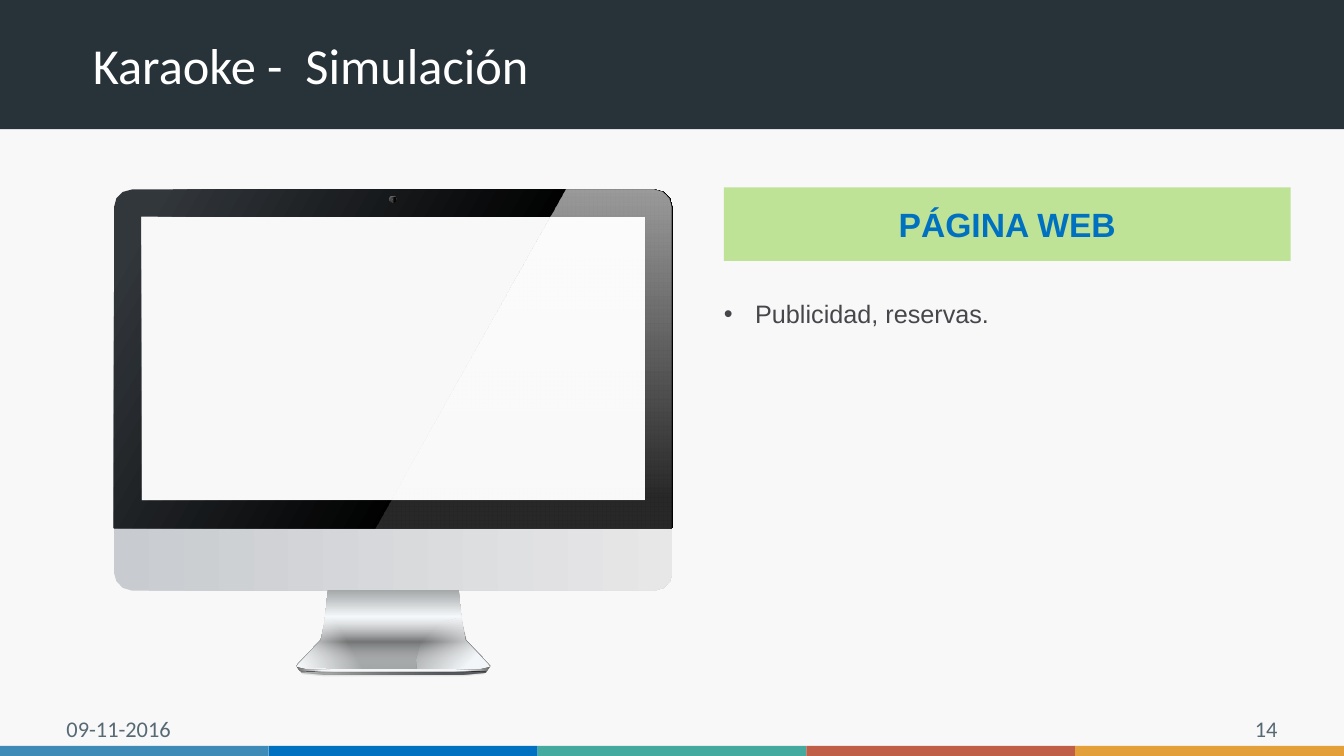
"""Build the karaoke simulation slide: a desktop monitor beside its web page notes."""
from lxml.etree import SubElement
from pptx import Presentation
from pptx.dml.color import RGBColor
from pptx.enum.shapes import MSO_SHAPE
from pptx.enum.text import MSO_ANCHOR, PP_ALIGN
from pptx.oxml.ns import qn
from pptx.util import Inches, Pt

COLORS = {
    "page": "F8F8F8", "band": "273339", "title": "FFFFFF", "footer": "576973",
    "body": "47464B", "banner": "BEE396", "accent": "0070C0", "lens": "557DB1",
}
STRIPES = ["3F8BB7", "0070C0", "44AAA0", "BF5F47", "E39F3A"]
WIDTH, HEIGHT = 13.33, 7.5
MIRROR = 7.8
CURVE_STEPS = 3

TITLE = {"text": "Karaoke -  Simulación", "at": (0.92, 0.27, 11.5, 0.74),
         "size": 36, "font": "Calibri", "color": "title", "inset": 0}
BANNER = {"text": "PÁGINA WEB", "at": (7.18, 1.86, 5.62, 0.73), "size": 24,
          "font": "Arial", "color": "accent", "bold": True, "align": PP_ALIGN.CENTER}
NOTES = {"text": "Publicidad, reservas.", "at": (7.18, 2.89, 5.62, 3.75), "size": 18,
         "font": "Arial", "color": "body", "inset": 0, "anchor": MSO_ANCHOR.TOP,
         "align": PP_ALIGN.JUSTIFY}
FOOTERS = [
    {"text": "09-11-2016", "at": (0.53, 7.07, 3, 0.31), "size": 16,
     "font": "Calibri", "color": "footer", "inset": 0.13},
    {"text": "14", "at": (9.8, 7.07, 3, 0.31), "size": 16,
     "font": "Calibri", "color": "footer", "inset": 0.13, "align": PP_ALIGN.RIGHT},
]

SHADOW = [(3.32, 6.68), (3.04, 6.68), (2.95, 6.63), (3, 6.69), (3.21, 6.71)]
SOFT_SHADOW = [(3.31, 6.66), (3.03, 6.65), (2.94, 6.6), (2.99, 6.67), (3.21, 6.69)]
CHIN = [(1.13, 5.23), (1.13, 5.68), (1.13, 5.77, 1.21, 5.86, 1.31, 5.86)]
FRAME = [(1.31, 1.88), (1.21, 1.88, 1.13, 1.96, 1.13, 2.06), (1.13, 5.24)]
SCREEN = [(1.4, 2.15), (1.4, 4.97)]
EDGE = [(3.21, 6.67), (2.98, 6.65), (2.95, 6.61), (2.98, 6.66), (3.21, 6.67)]
FOOT = [(2.96, 6.58), (2.94, 6.61), (3.03, 6.63), (3.31, 6.64)]
STAND = [(3.25, 5.85), (3.25, 5.85, 3.22, 6.29, 3.18, 6.35), *FOOT]
RIM = [(3.31, 6.64), (3.03, 6.63), (2.94, 6.61), (2.97, 6.65), (3.21, 6.66)]
GLOW = [(3.22, 6.14), (3.18, 6.35), *FOOT, (3.66, 6.64), (3.67, 6.54),
        (3.67, 6.32, 3.49, 6.14, 3.27, 6.14)]
GLARE = [(6.66, 2.06), (6.66, 1.96, 6.58, 1.88, 6.48, 1.88), (5.61, 1.88),
         (3.72, 5.24), (6.66, 5.24)]

PARTS = [
    ([SHADOW], "both", [(0, "32373C", 10), (100, "32373C", 10)], 0),
    ([SOFT_SHADOW], "both", [(17, "000000", 30), (76, "32373C", 80)], 0),
    ([CHIN], "both", [(0, "C8CBCF", 100), (100, "E7E7E8", 100)], 0),
    ([FRAME, SCREEN], "both", [(6, "32373C", 100), (62, "000000", 100)], 30),
    ([EDGE], "both", [(0, "000000", 75), (100, "000000", 75)], 0),
    ([STAND], "both", [(0, "A4A7A8", 100), (34, "F5F8FA", 100), (66, "A4A7A8", 100)], 90),
    ([STAND], "both", [(36, "FFFFFF", 0), (65, "000000", 30), (95, "FFFFFF", 0)], 90),
    ([RIM], "both", [(0, "6A6A6A", 100), (13, "F5F8FA", 100),
                     (87, "F5F8FA", 100), (100, "6A6A6A", 100)], 0),
    ([GLOW], "left", [(35, "FFFFFF", 0), (94, "F5F8FA", 100)], 150),
    ([GLOW], "right", [(21, "F5F8FA", 100), (78, "EEEFF1", 0)], None),
]
CAMERA = [
    ((3.86, 1.94, 0.07), [(28, "666666", 100), (86, "090909", 100)], 59),
    ((3.87, 1.95, 0.06), [(30, "474747", 100), (70, "060606", 100)], 0),
    ((3.89, 1.97, 0.01), [(0, COLORS["lens"], 100), (100, COLORS["lens"], 100)], 0),
]


def trace(outline):
    """Turn lines and cubic curves into a list of points."""
    points = [outline[0]]
    for segment in outline[1:]:
        if len(segment) == 2:
            points.append(segment)
            continue
        corners = [points[-1], segment[:2], segment[2:4], segment[4:]]
        for step in range(1, CURVE_STEPS + 1):
            t = step / CURVE_STEPS
            weights = ((1 - t) ** 3, 3 * t * (1 - t) ** 2, 3 * t * t * (1 - t), t ** 3)
            points.append(tuple(sum(weight * corner[axis] for weight, corner in
                                    zip(weights, corners)) for axis in (0, 1)))
    return points


def arrange(outline, side):
    """Give the left half, its mirror image, or both joined."""
    left = trace(outline)
    right = [(MIRROR - x, y) for x, y in reversed(left)]
    return {"left": left, "right": right, "both": left + right}[side]


def draw_outline(shapes, contours):
    """Draw closed contours as one freeform."""
    contours = [[(Inches(x), Inches(y)) for x, y in points] for points in contours]
    builder = shapes.build_freeform(*contours[0][0])
    for index, points in enumerate(contours):
        if index:
            builder.move_to(*points[0])
        builder.add_line_segments(points[1:], close=True)
    return builder.convert_to_shape()


def shade(shape, stops, angle):
    """Fill with a linear gradient, or a corner one when no angle is given."""
    shape.shadow.inherit = False
    shape.line.fill.background()
    shape.fill.gradient()
    gradient = shape.element.spPr.find(qn("a:gradFill"))
    for child in list(gradient):
        gradient.remove(child)
    stop_list = SubElement(gradient, qn("a:gsLst"))
    for position, color, opacity in stops:
        stop = SubElement(stop_list, qn("a:gs"), pos=str(position * 1000))
        tone = SubElement(stop, qn("a:srgbClr"), val=color)
        if opacity < 100:
            SubElement(tone, qn("a:alpha"), val=str(opacity * 1000))
    if angle is None:
        corner = SubElement(gradient, qn("a:path"), path="circle")
        SubElement(corner, qn("a:fillToRect"), l="100000", t="100000")
    else:
        SubElement(gradient, qn("a:lin"), ang=str(angle * 60000), scaled="0")


def add_block(page, at, color):
    """Add a plain filled rectangle."""
    block = page.shapes.add_shape(MSO_SHAPE.RECTANGLE, *map(Inches, at))
    block.shadow.inherit = False
    block.fill.solid()
    block.fill.fore_color.rgb = RGBColor.from_string(color)
    block.line.fill.background()
    return block


def write(box, content):
    """Place a box and set its text and format."""
    for name, value in zip(("left", "top", "width", "height"), content["at"]):
        setattr(box, name, Inches(value))
    frame = box.text_frame
    inset = Inches(content.get("inset", 0.1))
    layout = {"word_wrap": True, "margin_left": inset, "margin_right": inset,
              "margin_top": Inches(0.07), "margin_bottom": Inches(0.07),
              "vertical_anchor": content.get("anchor", MSO_ANCHOR.MIDDLE)}
    for name, value in layout.items():
        setattr(frame, name, value)
    para = frame.paragraphs[0]
    para.alignment = content.get("align", PP_ALIGN.LEFT)
    span = para.add_run()
    span.text = content["text"]
    style = {"size": Pt(content["size"]), "name": content["font"],
             "bold": content.get("bold", False)}
    for name, value in style.items():
        setattr(span.font, name, value)
    span.font.color.rgb = RGBColor.from_string(COLORS[content["color"]])
    return para


def main():
    deck = Presentation()
    deck.slide_width, deck.slide_height = Inches(WIDTH), Inches(HEIGHT)
    page = deck.slides.add_slide(deck.slide_layouts[5])
    page.background.fill.solid()
    page.background.fill.fore_color.rgb = RGBColor.from_string(COLORS["page"])

    monitor = page.shapes.add_group_shape()
    for outlines, side, stops, angle in PARTS:
        contours = [arrange(outline, side) for outline in outlines]
        shade(draw_outline(monitor.shapes, contours), stops, angle)
    for (left, top, size), stops, angle in CAMERA:
        box = map(Inches, (left, top, size, size))
        shade(monitor.shapes.add_shape(MSO_SHAPE.OVAL, *box), stops, angle)

    add_block(page, (0, -0.01, WIDTH, 1.29), COLORS["band"])
    stripe = WIDTH / len(STRIPES)
    for index, color in enumerate(STRIPES):
        add_block(page, (index * stripe, 7.4, stripe, 0.1), color)

    title = page.shapes.title
    title.element.getparent().append(title.element)
    write(title, TITLE)
    for footer in FOOTERS:
        write(page.shapes.add_textbox(0, 0, 0, 0), footer)
    note = write(page.shapes.add_textbox(0, 0, 0, 0), NOTES)
    bullet = note._p.get_or_add_pPr()
    bullet.set("marL", str(Inches(0.31)))
    bullet.set("indent", str(Inches(-0.31)))
    SubElement(bullet, qn("a:buFont"), typeface="Arial")
    SubElement(bullet, qn("a:buChar"), char="•")
    write(add_block(page, BANNER["at"], COLORS["banner"]), BANNER)
    shade(draw_outline(page.shapes, [trace(GLARE)]),
          [(0, "FFFFFF", 60), (91, "FFFFFF", 15)], 90)
    deck.save("out.pptx")


if __name__ == "__main__":
    main()
